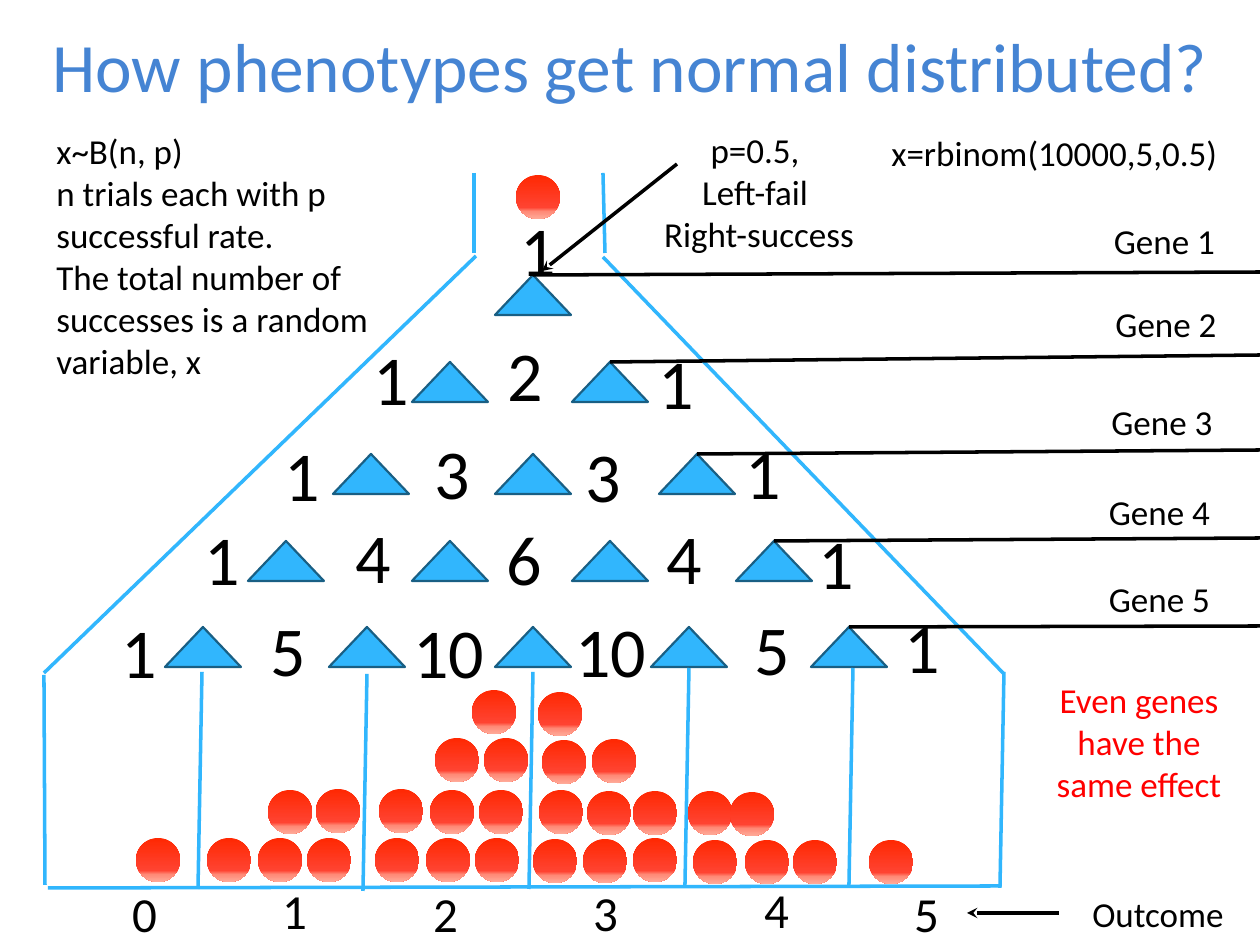
from dataclasses import dataclass
from math import comb

from pptx import Presentation
from pptx.dml.color import RGBColor
from pptx.enum.shapes import MSO_CONNECTOR as Connector, MSO_SHAPE as Shape
from pptx.enum.text import MSO_ANCHOR as Anchor, MSO_AUTO_SIZE as AutoSize, PP_ALIGN as Align
from pptx.oxml import parse_xml
from pptx.oxml.ns import nsdecls, qn
from pptx.util import Pt

EMU_PER_PX = 914400 / 126
TITLE_ONLY = 5
TOP = 0


@dataclass(frozen=True)
class Theme:
    font: str = "Calibri"
    title: str = "4584D3"
    text: str = "000000"
    accent: str = "FF0000"
    board: str = "31B6FD"
    pin_edge: str = "195F84"
    ball: tuple = ((0, "FF2802"), (74, "FF4331"), (83, "FF8976"), (100, "FFAA99"))
    title_size: float = 39.6
    count_size: int = 40
    outcome_size: int = 28
    body_size: int = 20
    line_width: int = 2
    pin_edge_width: float = 1.25


def px(*lengths):
    return [round(length * EMU_PER_PX) for length in lengths]


def set_values(target, values):
    for name, value in values.items():
        setattr(target, name, value)


class Board:
    """Style and current slide, with one method for each kind of element."""

    def __init__(self, slide, theme):
        self.slide, self.theme = slide, theme

    def add_lines(self, frame, text, size, color, align):
        for index, line in enumerate(text.split("\n")):
            paragraph = frame.add_paragraph() if index else frame.paragraphs[0]
            paragraph.alignment = align
            run = paragraph.add_run()
            run.text = line
            set_values(run.font, {"name": self.theme.font, "size": Pt(size)})
            run.font.color.rgb = RGBColor.from_string(color)

    def title(self, text, box):
        shape = self.slide.shapes.title
        set_values(shape, dict(zip(("left", "top", "width", "height"), px(*box))))
        set_values(shape.text_frame, {"word_wrap": True, "auto_size": AutoSize.NONE,
                                      "vertical_anchor": Anchor.MIDDLE})
        self.add_lines(shape.text_frame, text, self.theme.title_size, self.theme.title,
                       Align.CENTER)

    def text(self, text, box, size=None, color=None, align=Align.CENTER):
        frame = self.slide.shapes.add_textbox(*px(*box)).text_frame
        set_values(frame, {"word_wrap": True, "auto_size": AutoSize.SHAPE_TO_FIT_TEXT})
        self.add_lines(frame, text, size or self.theme.body_size, color or self.theme.text, align)

    def line(self, points, color, arrow=False):
        connector = self.slide.shapes.add_connector(Connector.STRAIGHT, *px(*points))
        connector.line.width = Pt(self.theme.line_width)
        connector.line.color.rgb = RGBColor.from_string(color)
        properties = connector._element.find(qn("p:spPr"))
        if arrow:
            properties.find(qn("a:ln")).append(
                parse_xml(f'<a:tailEnd {nsdecls("a")} type="stealth"/>'))
        properties.append(parse_xml(f'<a:effectLst {nsdecls("a")}/>'))
        return connector

    def pin(self, left, top):
        shape = self.slide.shapes.add_shape(Shape.ISOSCELES_TRIANGLE, *px(left, top, 76, 40))
        shape.shadow.inherit = False
        shape.fill.solid()
        shape.fill.fore_color.rgb = RGBColor.from_string(self.theme.board)
        shape.line.color.rgb = RGBColor.from_string(self.theme.pin_edge)
        shape.line.width = Pt(self.theme.pin_edge_width)
        return shape

    def ball(self, left, top):
        shape = self.slide.shapes.add_shape(Shape.OVAL, *px(left, top, 44, 44))
        stops = "".join(f'<a:gs pos="{position * 1000}"><a:srgbClr val="{color}"/></a:gs>'
                        for position, color in self.theme.ball)
        shape._element.spPr.append(parse_xml(
            f'<a:gradFill {nsdecls("a")} rotWithShape="1"><a:gsLst>{stops}</a:gsLst>'
            '<a:lin ang="5400000" scaled="0"/></a:gradFill>'))
        shape.line.fill.background()
        shape.shadow.inherit = False


WALLS = [
    (474, 173, 474, 253), (603, 173, 605, 253),
    (476, 256, 44, 673), (603, 257, 1004, 674),
    (1000, 886, 48, 888), (44, 675, 45, 885), (1004, 672, 1000, 888),
]
# Top end of each bin divider
DIVIDERS = [(202, 672), (367, 674), (533, 672), (689, 668), (853, 668)]
# Top of each pin row, then the left edges of its pins
PIN_ROWS = [
    (275, [495]),
    (362, [412, 572]),
    (454, [333, 495, 659]),
    (541, [248, 412, 572, 736]),
    (627, [165, 329, 495, 651, 811]),
]
# Centre and top of the path counts, row by row
COUNT_ROWS = [
    [(538, 200)],
    [(391, 329), (525, 325), (676, 333)],
    [(302, 425), (452, 423), (603, 426), (763, 423)],
    [(222, 509), (373, 507), (524, 509), (684, 508), (836, 513)],
    [(139, 602), (288, 600), (449, 602), (611, 601), (772, 599), (922, 597)],
]
# Top of the balls, then their left edges
BALLS = {
    175: [516],
    690: [472], 692: [538],
    738: [435, 484], 739: [592], 740: [542],
    789: [316, 379], 790: [268, 430, 479, 539], 791: [587, 633, 688], 792: [730],
    838: [136, 207, 258, 307, 375, 426, 475, 633], 839: [533, 583],
    840: [693, 745, 793, 869],
}
# Start of each gene line, then left, top and width of its label
GENES = [
    (272, (1085, 213, 159)),
    (355, (1076, 296, 180)),
    (450, (1084, 394, 156)),
    (538, (1077, 484, 165)),
    (626, (1072, 571, 175)),
]
OUTCOMES = [(105, 877), (255, 874), (406, 877), (566, 876), (737, 873), (887, 877)]


def main():
    theme = Theme()
    presentation = Presentation()
    width, height = px(1260, 945)
    set_values(presentation, {"slide_width": width, "slide_height": height})
    board = Board(presentation.slides.add_slide(presentation.slide_layouts[TITLE_ONLY]), theme)

    board.title("How phenotypes get normal distributed?", (0, 0, 1260, 130))
    board.text("x~B(n, p)\nn trials each with p successful rate.\n"
               "The total number of successes is a random variable, x",
               (44, 123, 364, 267), align=Align.LEFT)

    for wall in WALLS:
        board.line(wall, theme.board)
    pins = [[board.pin(left, top) for left in lefts] for top, lefts in PIN_ROWS]
    for left, top in DIVIDERS:
        board.line((left, top, left - 4, top + 217), theme.board)
    for top, lefts in BALLS.items():
        for left in lefts:
            board.ball(left, top)

    for places in COUNT_ROWS:
        for index, (center, top) in enumerate(places):
            count = comb(len(places) - 1, index)
            box_width = 100 if count >= 10 else 80
            board.text(str(count), (center - box_width // 2, top, box_width, 97),
                       theme.count_size)

    board.line((677, 164, 542, 271), theme.text, arrow=True)
    board.text("p=0.5, \nLeft-fail \nRight-success", (636, 122, 246, 140))

    for number, (pin_row, (start, (left, top, label_width))) in enumerate(zip(pins, GENES), 1):
        gene_line = board.line((1260, start, 850, start), theme.text)
        gene_line.end_connect(pin_row[-1], TOP)
        board.text(f"Gene {number}", (left, top, label_width, 55))

    for outcome, (left, top) in enumerate(OUTCOMES):
        board.text(str(outcome), (left, top, 79, 72), theme.outcome_size)
    board.line((1059, 913, 967, 913), theme.text, arrow=True)
    board.text("Outcome", (1060, 886, 196, 55))

    board.text("x=rbinom(10000,5,0.5)", (853, 125, 403, 55))
    board.text("Even genes have the same effect", (1041, 672, 196, 183), color=theme.accent)

    presentation.save("out.pptx")


if __name__ == "__main__":
    main()
